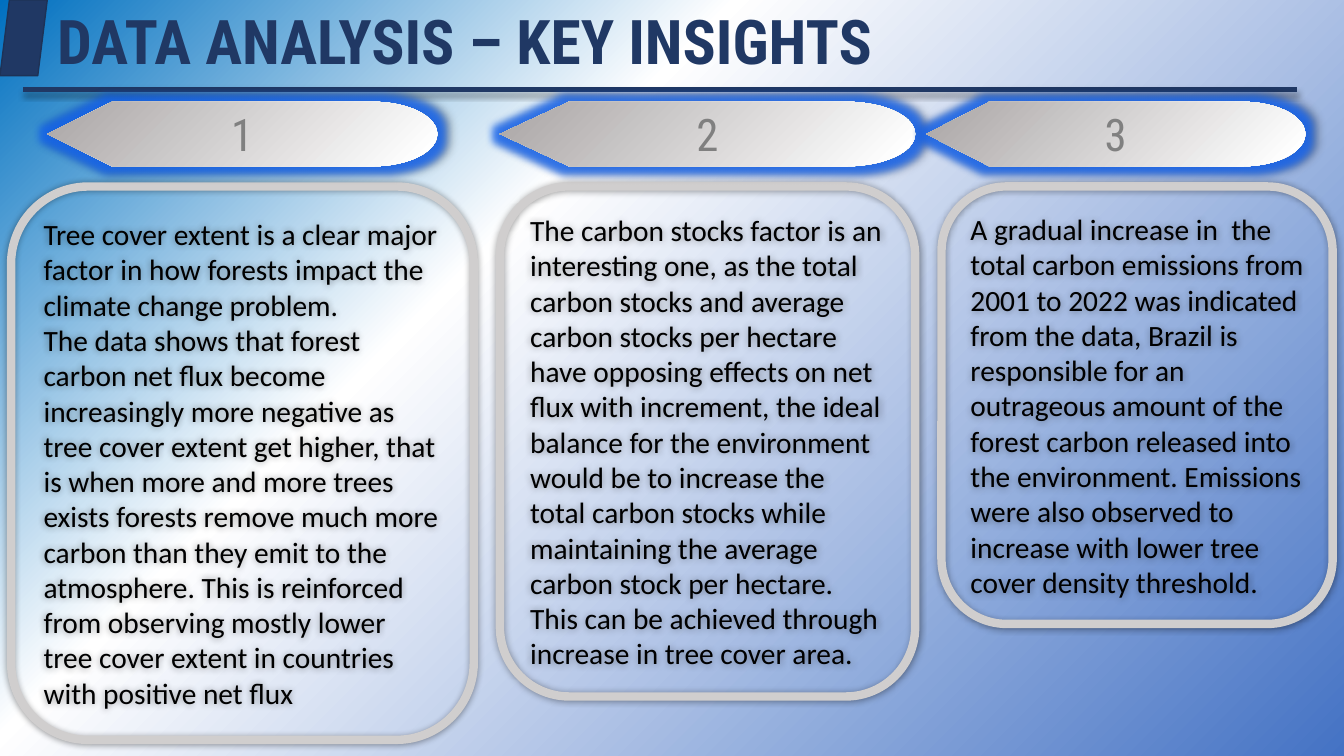
import pptx
import pptx.dml.color
import pptx.enum.shapes
import pptx.enum.text
import pptx.oxml
import pptx.oxml.ns
import pptx.util

Pt = pptx.util.Pt
SHAPE = pptx.enum.shapes.MSO_SHAPE
ALIGN = pptx.enum.text.PP_ALIGN
MIDDLE = pptx.enum.text.MSO_ANCHOR.MIDDLE
NS = pptx.oxml.ns.nsdecls("a")

NAVY = "203864"
HEADING_FONT = "Roboto Condensed"
BACKGROUND_STOPS = [(0, "0070C0"), (35, "FFFFFF"), (100, "4472C4")]
ARROW_STOPS = [(6, "AFABAB"), (95, "FFFFFF"), (100, "4472C4")]
PANEL_TOP = 133.2
ARROW_TOP, ARROW_HEIGHT = 72.7, 46.1

# arrow left, arrow width, panel left, panel width, panel height, paragraphs
INSIGHTS = [
    (33.8, 278.6, 7.9, 330.5, 395.3, [
        "Tree cover extent is a clear major factor in how forests impact the "
        "climate change problem.",
        "The data shows that forest carbon net flux become increasingly more "
        "negative as tree cover extent get higher, that is when more and more "
        "trees exists forests remove much more carbon than they emit to the "
        "atmosphere. This is reinforced from observing mostly lower tree cover "
        "extent in countries with positive net flux"]),
    (357.1, 296.6, 357.1, 296.6, 364.3, [
        "The carbon stocks factor is an interesting one, as the total carbon "
        "stocks and average carbon stocks per hectare have opposing effects on "
        "net flux with increment, the ideal balance for the environment would "
        "be to increase the total carbon stocks while maintaining the average "
        "carbon stock per hectare. This can be achieved through increase in "
        "tree cover area."]),
    (661.7, 270.7, 672.5, 279.4, 312.5, [
        "A gradual increase in  the total carbon emissions from 2001 to 2022 "
        "was indicated from the data, Brazil is responsible for an outrageous "
        "amount of the forest carbon released into the environment. Emissions "
        "were also observed to increase with lower tree cover density "
        "threshold."]),
]


def rgb(color):
    return pptx.dml.color.RGBColor.from_string(color)


def set_gradient(fill, element, stops):
    """Give the fill found in element a circular gradient from the top left."""
    fill.gradient()
    old = element.xpath(".//a:gradFill")[0]
    stop_xml = "".join(
        f'<a:gs pos="{pos * 1000}"><a:srgbClr val="{color}"/></a:gs>'
        for pos, color in stops)
    new = pptx.oxml.parse_xml(
        f'<a:gradFill {NS} rotWithShape="1"><a:gsLst>{stop_xml}</a:gsLst>'
        '<a:path path="circle"><a:fillToRect r="100000" b="100000"/></a:path>'
        '</a:gradFill>')
    old.getparent().replace(old, new)


def set_effects(shape, blur, distance, direction=0, glow=0):
    """Add a 40% black shadow, and a blue glow if its radius is given."""
    sp_pr = shape.element.spPr
    for old in sp_pr.xpath("./a:effectLst"):
        sp_pr.remove(old)
    glow_xml = (
        f'<a:glow rad="{Pt(glow)}"><a:srgbClr val="4472C4">'
        '<a:satMod val="175000"/><a:alpha val="80000"/></a:srgbClr></a:glow>'
        if glow else "")
    sp_pr.append(pptx.oxml.parse_xml(
        f'<a:effectLst {NS}>{glow_xml}<a:outerShdw blurRad="{Pt(blur)}" '
        f'dist="{Pt(distance)}" dir="{direction * 60000}" algn="ctr" '
        'rotWithShape="0"><a:srgbClr val="000000"><a:alpha val="40000"/>'
        '</a:srgbClr></a:outerShdw></a:effectLst>'))


def write(shape, paragraphs, size, font, color, align=ALIGN.LEFT, bold=False):
    tf = shape.text_frame
    tf.word_wrap = True
    tf.vertical_anchor = MIDDLE
    tf.text = "\n".join(paragraphs)
    for p in tf.paragraphs:
        p.alignment = align
        for r in p.runs:
            r.font.size = Pt(size)
            r.font.name = font
            r.font.bold = bold
            r.font.color.rgb = rgb(color)


def add_shape(s, kind, left, top, width, height):
    sp = s.shapes.add_shape(kind, Pt(left), Pt(top), Pt(width), Pt(height))
    sp.shadow.inherit = False
    return sp


def add_header(s, title):
    box = s.shapes.add_textbox(Pt(33.8), Pt(0), Pt(892.8), Pt(64.1))
    write(box, [title], 44, HEADING_FONT, NAVY, bold=True)
    box.text_frame.paragraphs[0].line_spacing = 0.9

    accent = add_shape(s, SHAPE.FLOWCHART_DATA, 0, 0, 33.8, 54)
    accent.fill.solid()
    accent.fill.fore_color.rgb = rgb(NAVY)
    accent.line.color.rgb = rgb("1E3256")
    accent.line.width = Pt(1)

    rule = s.shapes.add_connector(
        pptx.enum.shapes.MSO_CONNECTOR.STRAIGHT,
        Pt(16.6), Pt(64.1), Pt(926.6), Pt(64.1))
    rule.line.color.rgb = rgb(NAVY)
    rule.line.width = Pt(3.25)
    set_effects(rule, 4, 3, direction=90)


def add_panel(s, left, width, height, paragraphs):
    panel = add_shape(s, SHAPE.FLOWCHART_ALTERNATE_PROCESS,
                      left, PANEL_TOP, width, height)
    panel.fill.background()
    panel.line.color.rgb = rgb("D0CECE")
    panel.line.width = Pt(6)
    set_effects(panel, 5, 0)
    write(panel, paragraphs, 21, "Calibri", "000000")


def add_number_arrow(s, left, width, number):
    arrow = add_shape(s, SHAPE.FLOWCHART_DISPLAY,
                      left, ARROW_TOP, width, ARROW_HEIGHT)
    set_gradient(arrow.fill, arrow.element, ARROW_STOPS)
    arrow.line.fill.background()
    set_effects(arrow, 4, 3, glow=11)
    write(arrow, [str(number)], 32, HEADING_FONT, "808080", ALIGN.CENTER)


def main():
    prs = pptx.Presentation()
    prs.slide_width, prs.slide_height = Pt(960), Pt(540)
    s = prs.slides.add_slide(prs.slide_layouts[6])
    set_gradient(s.background.fill, s.element, BACKGROUND_STOPS)
    add_header(s, "DATA ANALYSIS – KEY INSIGHTS")
    for number, insight in enumerate(INSIGHTS, 1):
        arrow_left, arrow_width, left, width, height, paragraphs = insight
        add_panel(s, left, width, height, paragraphs)
        add_number_arrow(s, arrow_left, arrow_width, number)
    prs.save("out.pptx")


if __name__ == "__main__":
    main()
